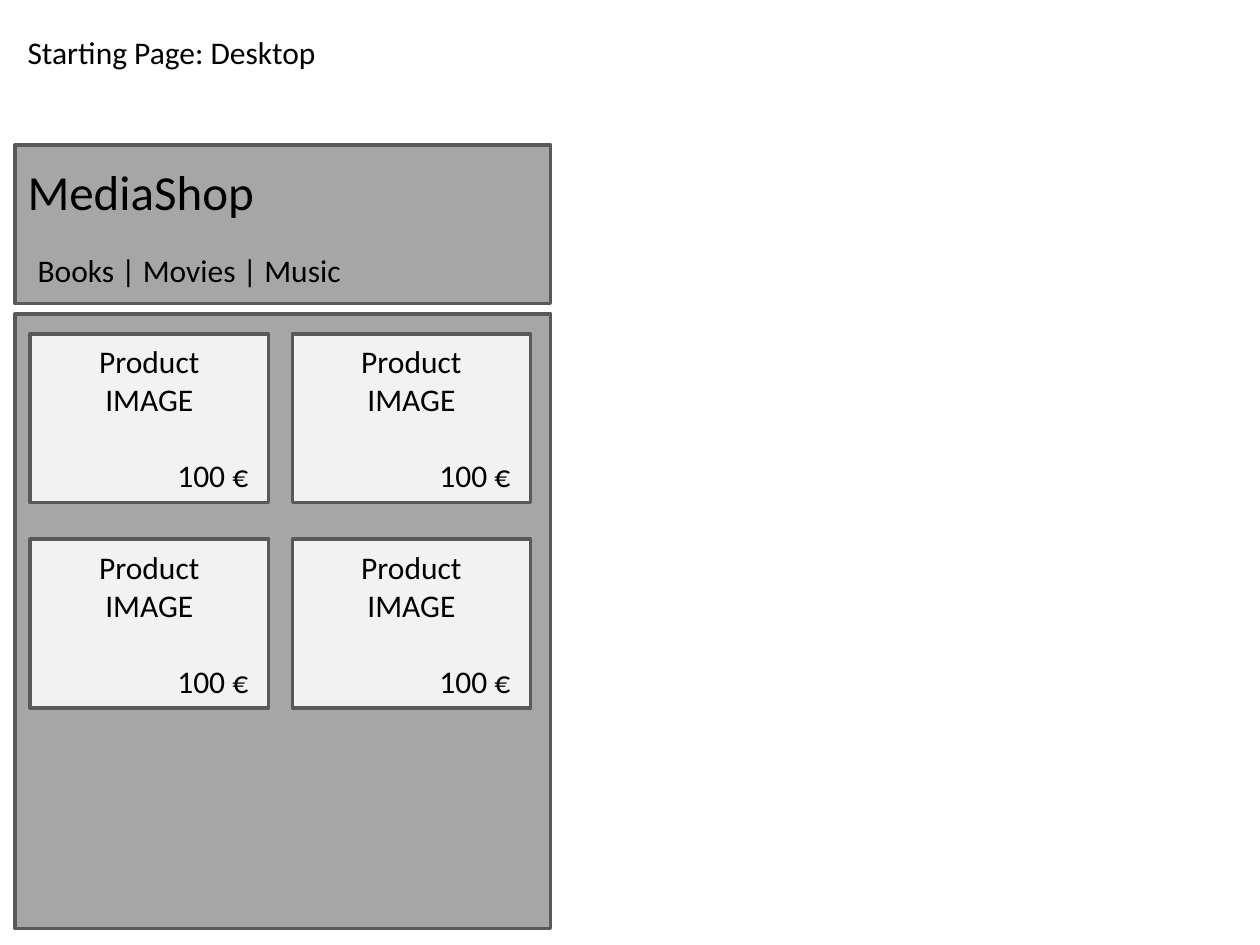
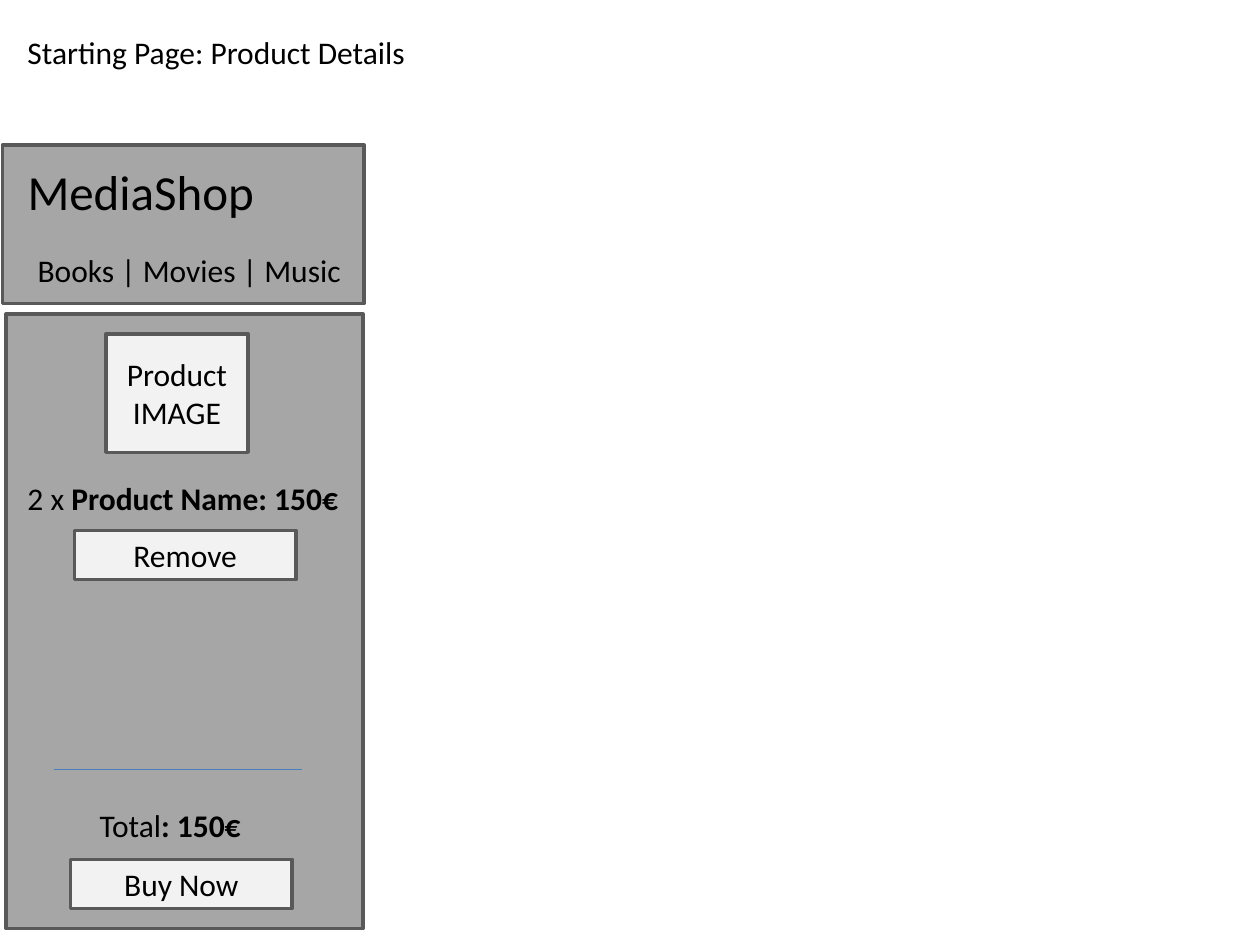
"""Build two wireframe pages for a media shop."""
from dataclasses import dataclass

from lxml import etree
from pptx import Presentation
from pptx.dml.color import RGBColor
from pptx.enum.shapes import MSO_CONNECTOR, MSO_SHAPE
from pptx.enum.text import MSO_ANCHOR, MSO_AUTO_SIZE, PP_ALIGN
from pptx.oxml.ns import qn
from pptx.slide import Slide
from pptx.util import Inches, Pt

RECTANGLE = MSO_SHAPE.RECTANGLE
STRAIGHT = MSO_CONNECTOR.STRAIGHT
MIDDLE = MSO_ANCHOR.MIDDLE
GROW = MSO_AUTO_SIZE.SHAPE_TO_FIT_TEXT
CENTER, RIGHT = PP_ALIGN.CENTER, PP_ALIGN.RIGHT


@dataclass(frozen=True)
class Theme:
    """Colours, type and line weights of the wireframes."""
    font: str = "Calibri"
    text: RGBColor = RGBColor(0x00, 0x00, 0x00)
    panel: RGBColor = RGBColor(0xA6, 0xA6, 0xA6)
    card: RGBColor = RGBColor(0xF2, 0xF2, 0xF2)
    outline: RGBColor = RGBColor(0x59, 0x59, 0x59)
    divider: RGBColor = RGBColor(0x4B, 0x7E, 0xBC)
    body_size: float = 18
    brand_size: float = 28
    body_line: float = 22
    outline_width: float = 2
    divider_width: float = 0.75


@dataclass(frozen=True)
class Box:
    """A rectangle on the page, in inches."""
    left: float
    top: float
    width: float
    height: float

    def lengths(self) -> tuple:
        """Return left, top, width and height as lengths."""
        return tuple(Inches(v) for v in (self.left, self.top, self.width, self.height))


@dataclass(frozen=True)
class Span:
    """A piece of text with one weight."""
    text: str
    bold: bool = False


THEME = Theme()
IMAGE_LINES = ("Product", "IMAGE")


def style_font(font, size: float = THEME.body_size, bold: bool = False) -> None:
    """Apply the theme's face and colour to a font."""
    font.name = THEME.font
    font.size = Pt(size)
    font.bold = bold
    font.color.rgb = THEME.text


def add_panel(page: Slide, box: Box, fill: RGBColor = THEME.panel):
    """Draw an outlined rectangle."""
    panel = page.shapes.add_shape(RECTANGLE, *box.lengths())
    panel.shadow.inherit = False
    panel.fill.solid()
    panel.fill.fore_color.rgb = fill
    panel.line.color.rgb = THEME.outline
    panel.line.width = Pt(THEME.outline_width)
    return panel


def add_card(page: Slide, box: Box, lines: tuple[str, ...], price: str = "") -> None:
    """Draw a light card with centred lines and an optional price at the right."""
    frame = add_panel(page, box, THEME.card).text_frame
    frame.word_wrap = True
    frame.vertical_anchor = MIDDLE
    frame.text = "\n".join(lines + ((price,) if price else ()))
    for para in frame.paragraphs:
        para.alignment = CENTER
        for run in para.runs:
            style_font(run.font)
    if price:
        frame.margin_left = frame.margin_right = Inches(0.16)
        price_para = frame.paragraphs[-1]
        price_para.alignment = RIGHT
        price_para.space_before = Pt(THEME.body_line)


def add_label(page: Slide, box: Box, *spans: Span, size: float = THEME.body_size,
              wrap: bool = False, inset: float = 0.1) -> None:
    """Write one line of text made of spans."""
    frame = page.shapes.add_textbox(*box.lengths()).text_frame
    frame.word_wrap = wrap
    frame.auto_size = GROW
    frame.margin_left = Inches(inset)
    for span in spans:
        run = frame.paragraphs[0].add_run()
        run.text = span.text
        style_font(run.font, size, span.bold)


def add_divider(page: Slide, left: float, right: float, top: float) -> None:
    """Draw a thin horizontal line."""
    line = page.shapes.add_connector(
        STRAIGHT, Inches(left), Inches(top), Inches(right), Inches(top))
    line.line.color.rgb = THEME.divider
    line.line.width = Pt(THEME.divider_width)
    etree.SubElement(line._element.spPr, qn("a:effectLst"))


def add_page(deck, title: str, title_width: float,
             header: tuple[float, float], content: tuple[float, float]) -> Slide:
    """Add a page with its title, shop header and content panel (left, width)."""
    page = deck.slides.add_slide(deck.slide_layouts[6])
    add_panel(page, Box(header[0], 1.15, header[1], 1.26))
    add_panel(page, Box(content[0], 2.49, content[1], 4.88))
    add_label(page, Box(0.12, 0.21, title_width, 0.4), Span(title))
    add_label(page, Box(0.12, 1.23, 2.02, 0.57), Span("MediaShop"), size=THEME.brand_size)
    add_label(page, Box(0.2, 1.94, 2.63, 0.4), Span("Books | Movies | Music"))
    return page


def build_desktop(deck) -> None:
    """Build the desktop page with its grid of products."""
    page = add_page(deck, "Starting Page: Desktop", 2.52, (0.12, 4.25), (0.12, 4.25))
    for row in range(2):
        for column in range(2):
            box = Box(0.24 + 2.08 * column, 2.65 + 1.63 * row, 1.89, 1.34)
            add_card(page, box, IMAGE_LINES, "100 €")


def build_details(deck) -> None:
    """Build the product details page with its total and buttons."""
    page = add_page(deck, "Starting Page: Product Details", 3.23,
                    (0.02, 2.87), (0.05, 2.83))
    add_card(page, Box(0.84, 2.65, 1.13, 0.94), IMAGE_LINES)
    add_label(page, Box(0.12, 3.75, 2.76, 0.4),
              Span("2 x "), Span("Product Name: 150€", True), wrap=True)
    add_card(page, Box(0.59, 4.21, 1.76, 0.39), ("Remove",))
    add_divider(page, 0.43, 2.4, 6.11)
    add_label(page, Box(0.35, 6.35, 2.13, 0.4),
              Span("Total"), Span(": 150€", True), wrap=True, inset=0.44)
    add_card(page, Box(0.56, 6.82, 1.76, 0.39), ("Buy Now",))


def main() -> None:
    """Build and save the deck."""
    deck = Presentation()
    deck.slide_width, deck.slide_height = Inches(10), Inches(7.5)
    build_desktop(deck)
    build_details(deck)
    deck.save("out.pptx")


main()
